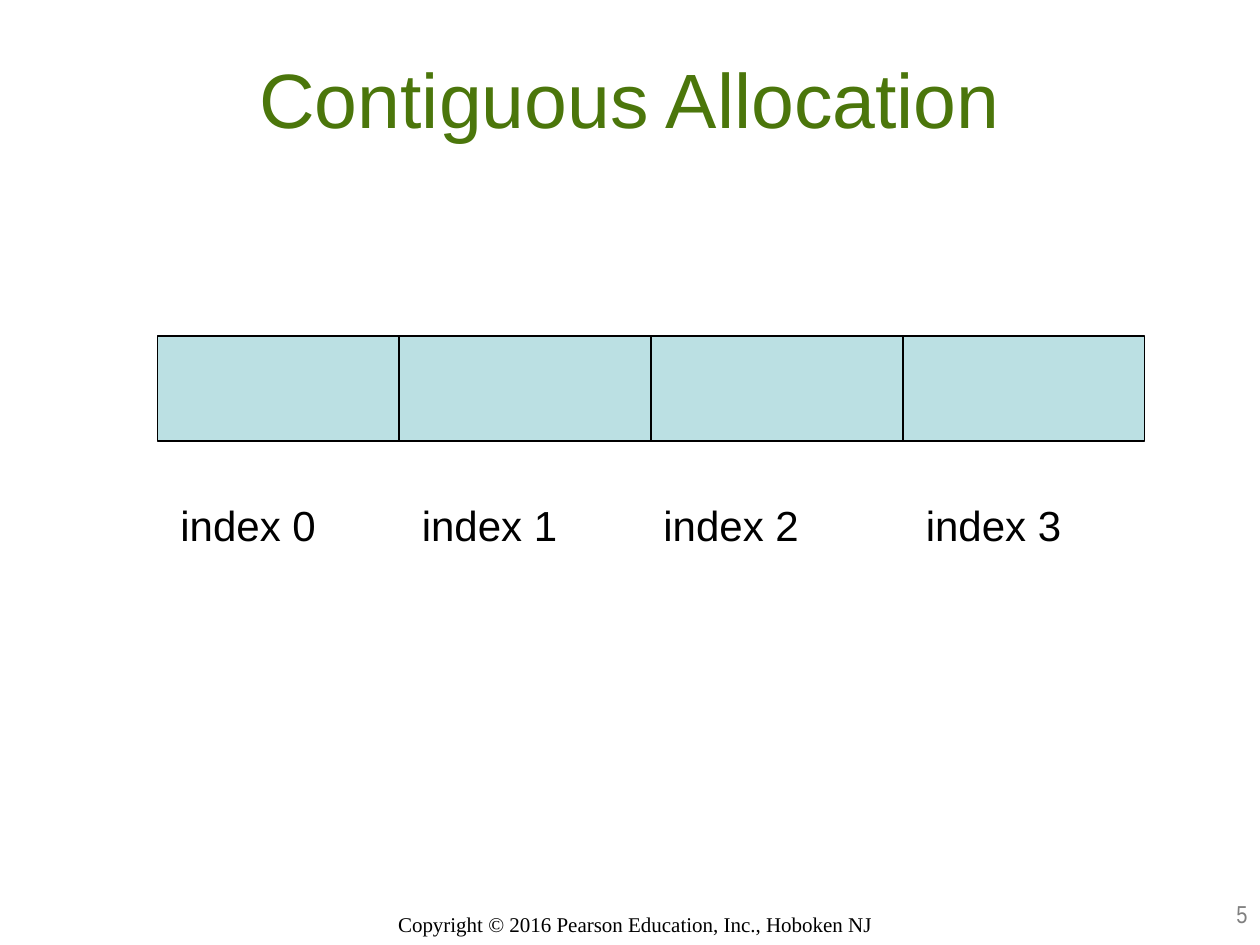
from lxml.etree import SubElement
from pptx import Presentation
from pptx.dml.color import RGBColor
from pptx.enum.shapes import MSO_CONNECTOR, MSO_SHAPE
from pptx.enum.text import MSO_ANCHOR, PP_ALIGN
from pptx.oxml.ns import qn
from pptx.util import Inches, Pt

GREEN = RGBColor(0x4B, 0x76, 0x0B)
PALE_TEAL = RGBColor(0xBB, 0xE0, 0xE3)
BLACK = RGBColor(0, 0, 0)
GRAY = RGBColor(0x80, 0x80, 0x80)

# The slide is a grid of 120 columns by 90 rows
UNIT = Inches(10) / 120


def grid(*cells):
    return [round(c * UNIT) for c in cells]


def set_text(sp, text, size, color, font="Arial", align=PP_ALIGN.LEFT,
             anchor=MSO_ANCHOR.TOP):
    tf = sp.text_frame
    tf.word_wrap = True
    tf.vertical_anchor = anchor
    p = tf.paragraphs[0]
    p.alignment = align
    r = p.add_run()
    r.text = text
    r.font.size = Pt(size)
    r.font.name = font
    r.font.color.rgb = color


def add_text(s, box, text, **fmt):
    set_text(s.shapes.add_textbox(*grid(*box)), text, **fmt)


def add_title(s, box, text):
    sp = s.shapes.title
    sp.left, sp.top, sp.width, sp.height = grid(*box)
    set_text(sp, text, size=44, color=GREEN, align=PP_ALIGN.CENTER)
    sp.text_frame.margin_top = Inches(0.11)


def add_array(s, box, dividers):
    x, y, w, h = box
    sp = s.shapes.add_shape(MSO_SHAPE.RECTANGLE, *grid(x, y, w, h))
    sp.shadow.inherit = False
    sp.fill.solid()
    sp.fill.fore_color.rgb = PALE_TEAL
    sp.line.color.rgb = BLACK
    sp.line.width = Pt(0.75)
    for col in dividers:
        line = s.shapes.add_connector(MSO_CONNECTOR.STRAIGHT,
                                      *grid(col, y, col, y + h))
        line.line.color.rgb = BLACK
        line.line.width = Pt(0.75)
        SubElement(line._element.spPr, qn("a:effectLst"))


def add_index_labels(s, row, columns):
    for i, (col, width) in enumerate(columns):
        add_text(s, (col, row, width, 6), f"index {i}", size=24, color=BLACK)


def add_footer(s, copyright_box, number_box):
    add_text(s, copyright_box,
             "Copyright © 2016 Pearson Education, Inc., Hoboken NJ",
             size=12, color=BLACK, font="Times New Roman",
             align=PP_ALIGN.CENTER, anchor=MSO_ANCHOR.BOTTOM)
    add_text(s, number_box, "5", size=14, color=GRAY, font="Arial Narrow",
             align=PP_ALIGN.RIGHT, anchor=MSO_ANCHOR.BOTTOM)


def main():
    prs = Presentation()
    prs.slide_width, prs.slide_height = grid(120, 90)
    s = prs.slides.add_slide(prs.slide_layouts[5])

    add_footer(s, (36, 84.8, 49, 5), (95, 83, 25, 6))
    add_title(s, (6, 3.6, 108, 15), "Contiguous Allocation")

    # Four adjoining cells, with a divider every 24 columns
    add_array(s, (15, 32, 94, 10), range(38, 87, 24))
    add_index_labels(s, 47, [(16, 20), (39, 24), (62, 21), (87, 23)])

    prs.save("out.pptx")


if __name__ == "__main__":
    main()
